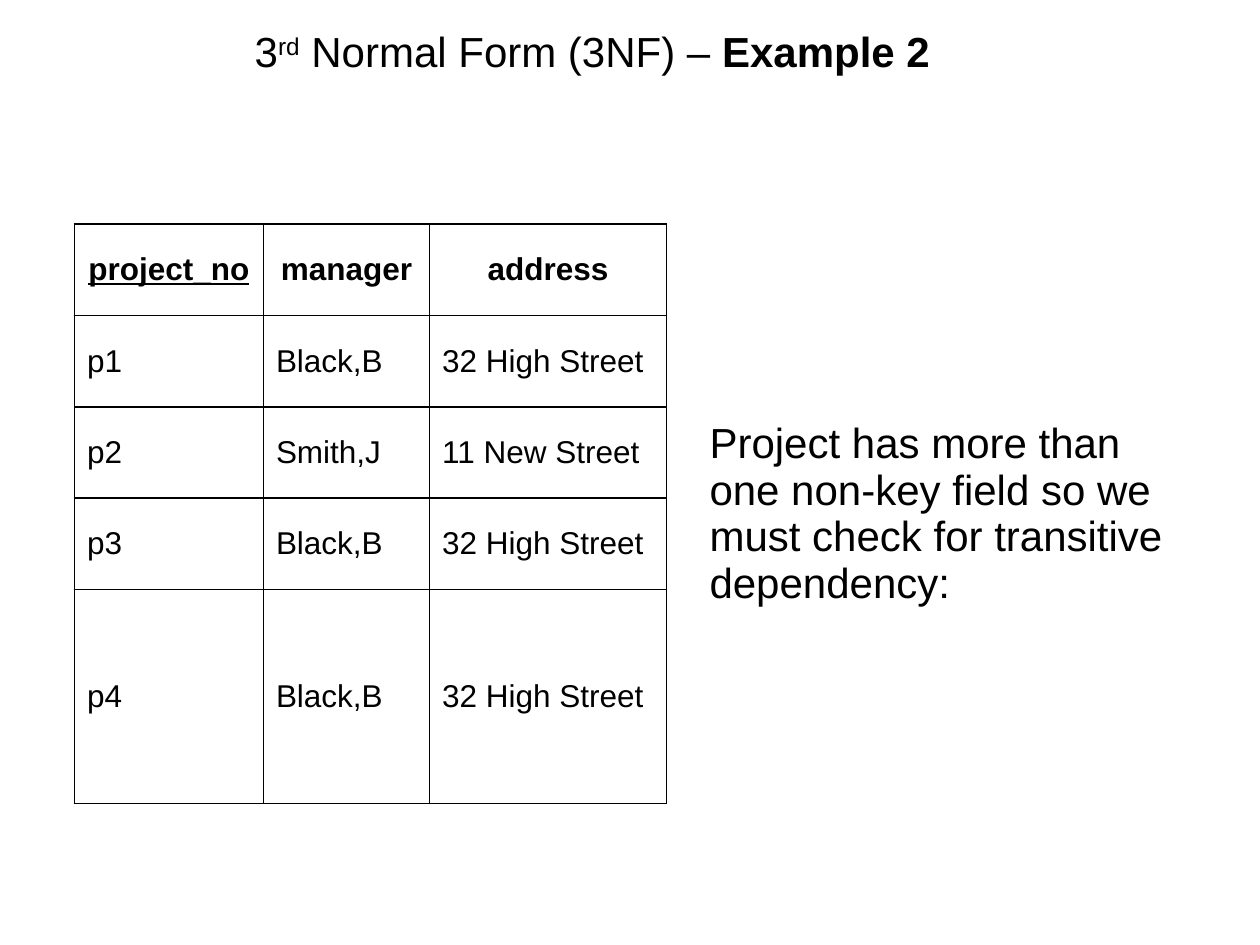
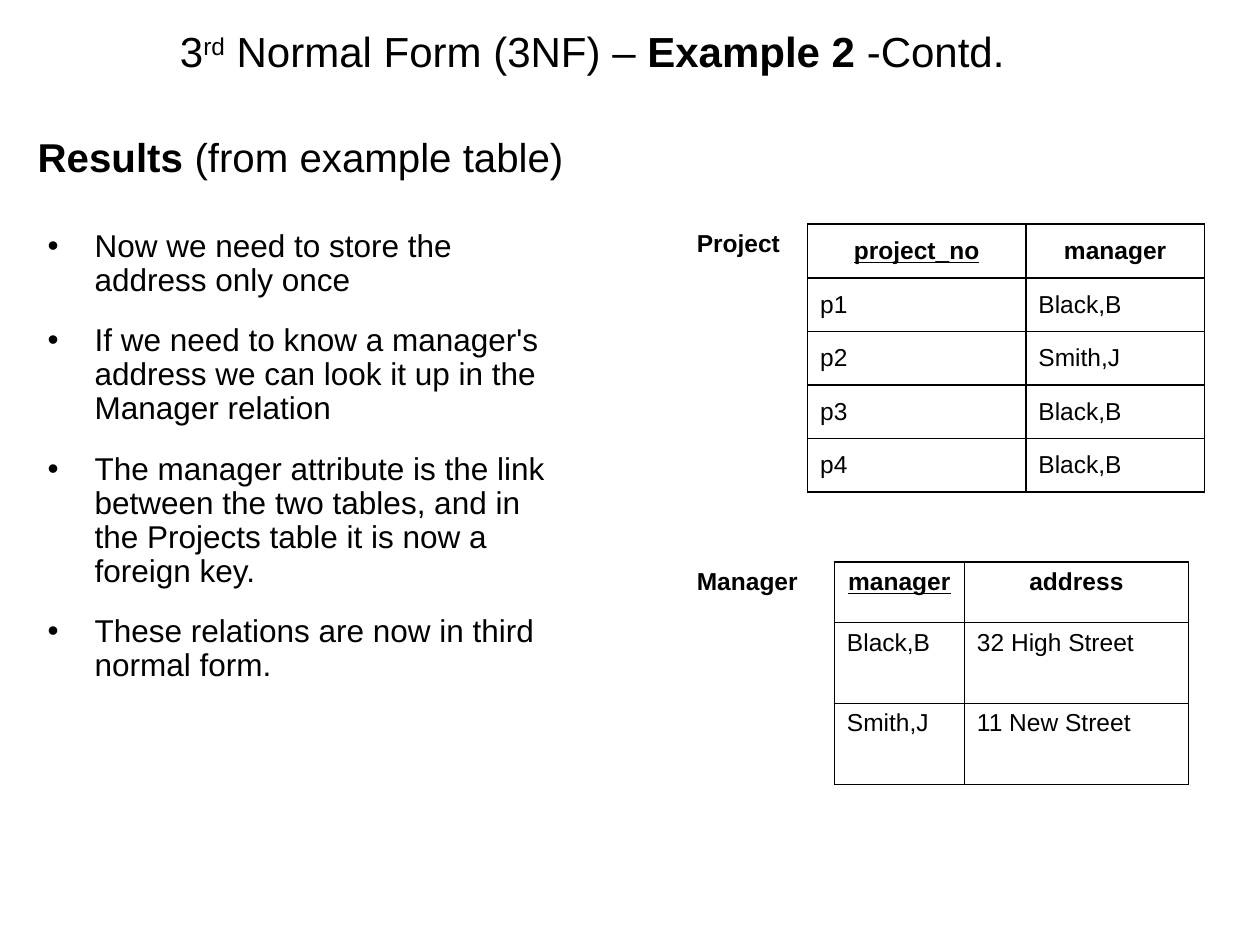
from dataclasses import dataclass

import pptx
import pptx.dml.color
import pptx.enum.text
import pptx.oxml.ns
import pptx.util
from lxml import etree

Cm = pptx.util.Cm
Pt = pptx.util.Pt
ALIGN = pptx.enum.text.PP_ALIGN
ANCHOR = pptx.enum.text.MSO_ANCHOR
qn = pptx.oxml.ns.qn


@dataclass(frozen=True)
class Theme:
    font: str = "Arial"
    ink: str = "000000"
    title: float = 24
    subtitle: float = 23
    body: float = 18
    small: float = 14
    rule: float = 1
    indent: float = 0.95


THEME = Theme()

TITLE = [("3", ""), ("rd", "super"), (" Normal Form (3NF) – ", ""), ("Example 2", "bold")]
CONTINUED = TITLE + [(" -Contd.", "")]
RESULTS = [("Results ", "bold"), ("(from example table)", "")]
REMARK = "Project has more than one non-key field so we must check for transitive dependency:"
FINDINGS = [
    "Now we need to store the address only once",
    "If we need to know a manager's address we can look it up in the Manager relation",
    "The manager attribute is the link between the two tables, and in the Projects table it is now a foreign key.",
    "These relations are now in third normal form.",
]

ADDRESSES = {"Black,B": "32 High Street", "Smith,J": "11 New Street"}
PROJECTS = [("p1", "Black,B"), ("p2", "Smith,J"), ("p3", "Black,B"), ("p4", "Black,B")]
UNNORMALISED = [("project_no", "manager", "address")] + [
    (project, manager, ADDRESSES[manager]) for project, manager in PROJECTS
]
PROJECT_RELATION = [("project_no", "manager")] + PROJECTS
MANAGER_RELATION = [("manager", "address")] + list(ADDRESSES.items())

TITLE_BOX = (0.51, 0.33, 22.86, 1.4)
RESULTS_BOX = (0.51, 2.16, 20.52, 1.98)
FINDINGS_BOX = (0.71, 4.52, 11, 12.4)


def write(frame, paragraphs, size=THEME.body, align=ALIGN.LEFT, hanging=False,
          bullet=None, line_spacing=None, gap=0):
    frame.word_wrap = True
    for index, runs in enumerate(paragraphs):
        paragraph = frame.paragraphs[0] if index == 0 else frame.add_paragraph()
        properties = paragraph._p.get_or_add_pPr()
        if hanging:
            properties.set("marL", str(Cm(THEME.indent)))
            properties.set("indent", str(-Cm(THEME.indent)))
        if bullet:
            etree.SubElement(properties, qn("a:buFont"), typeface=THEME.font)
            etree.SubElement(properties, qn("a:buChar"), char=bullet)
        paragraph.alignment = align
        if line_spacing:
            paragraph.line_spacing = line_spacing
        if gap and index:
            paragraph.space_before = Pt(gap)
        for words, style in [(runs, "")] if isinstance(runs, str) else runs:
            run = paragraph.add_run()
            run.text = words
            run.font.name = THEME.font
            run.font.size = Pt(size)
            run.font.color.rgb = pptx.dml.color.RGBColor.from_string(THEME.ink)
            run.font.bold = "bold" in style
            run.font.underline = "underline" in style
            if "super" in style:
                run._r.get_or_add_rPr().set("baseline", "30000")


def add_text(slide, box, paragraphs, anchor=ANCHOR.MIDDLE, **style):
    frame = slide.shapes.add_textbox(*map(Cm, box)).text_frame
    frame.vertical_anchor = anchor
    write(frame, paragraphs, **style)


def rule_cell(cell, edges):
    properties = cell._tc.get_or_add_tcPr()
    for side, drawn in edges.items():
        line = etree.SubElement(properties, qn("a:ln" + side), w=str(Pt(THEME.rule)))
        if drawn:
            fill = etree.SubElement(line, qn("a:solidFill"))
            etree.SubElement(fill, qn("a:srgbClr"), val=THEME.ink)
        else:
            etree.SubElement(line, qn("a:noFill"))
    cell.fill.background()


def add_relation(slide, corner, widths, heights, records, first=0, size=THEME.body,
                 anchor=ANCHOR.MIDDLE):
    table = slide.shapes.add_table(
        len(heights), len(widths), *map(Cm, corner), Cm(sum(widths)), Cm(sum(heights))
    ).table
    table.first_row = table.horz_banding = False
    for column, width in zip(table.columns, widths):
        column.width = Cm(width)
    for row, height in zip(table.rows, heights):
        row.height = Cm(height)
    ruled = range(first, first + len(records[0]))
    for r, record in enumerate(records):
        for c in range(len(widths)):
            cell = table.cell(r, c)
            inside = c in ruled
            rule_cell(cell, {"L": inside or c - 1 in ruled, "R": inside or c + 1 in ruled,
                             "T": inside, "B": inside})
            if inside:
                cell.vertical_anchor = anchor
                style = "" if r else "bold underline" if c == first else "bold"
                write(cell.text_frame, [[(record[c - first], style)]], size=size,
                      align=ALIGN.LEFT if r else ALIGN.CENTER, hanging=True)
    return table


def add_named_relation(slide, name, *layout, **style):
    table = add_relation(slide, *layout, first=1, size=THEME.small, **style)
    write(table.cell(0, 0).text_frame, [[(name, "bold")]], size=THEME.small,
          align=ALIGN.CENTER, hanging=True)
    return table


def merge_column(table, column):
    table.cell(0, column).merge(table.cell(len(table.rows) - 1, column))


def add_slide(deck, title):
    slide = deck.slides.add_slide(deck.slide_layouts[6])
    add_text(slide, TITLE_BOX, [title], size=THEME.title, align=ALIGN.CENTER)
    return slide


def build_example(deck):
    slide = add_slide(deck, TITLE)
    table = add_relation(slide, (1.5, 4.52), [3.81, 3.35, 4.78, 0.61, 9.65],
                         [1.84] * 5, UNNORMALISED)
    for column in (3, 4):
        merge_column(table, column)
    remark = table.cell(0, 4)
    remark.vertical_anchor = ANCHOR.MIDDLE
    write(remark.text_frame, [REMARK], size=THEME.title)


def build_results(deck):
    slide = add_slide(deck, CONTINUED)
    add_text(slide, RESULTS_BOX, [RESULTS], size=THEME.subtitle)
    add_text(slide, FINDINGS_BOX, FINDINGS, anchor=ANCHOR.TOP, hanging=True,
             bullet="•", line_spacing=0.9, gap=15)
    projects = add_named_relation(slide, "Project", (13.49, 4.52), [2.79, 4.4, 3.6],
                                  [1.08] * 5, PROJECT_RELATION)
    merge_column(projects, 0)
    add_named_relation(slide, "Manager", (13.31, 11.33), [3.51, 2.62, 4.52],
                       [1.22, 1.63, 1.63], MANAGER_RELATION, anchor=ANCHOR.TOP)


def main():
    deck = pptx.Presentation()
    deck.slide_width, deck.slide_height = Cm(25.4), Cm(19.05)
    build_example(deck)
    build_results(deck)
    deck.save("out.pptx")


if __name__ == "__main__":
    main()
